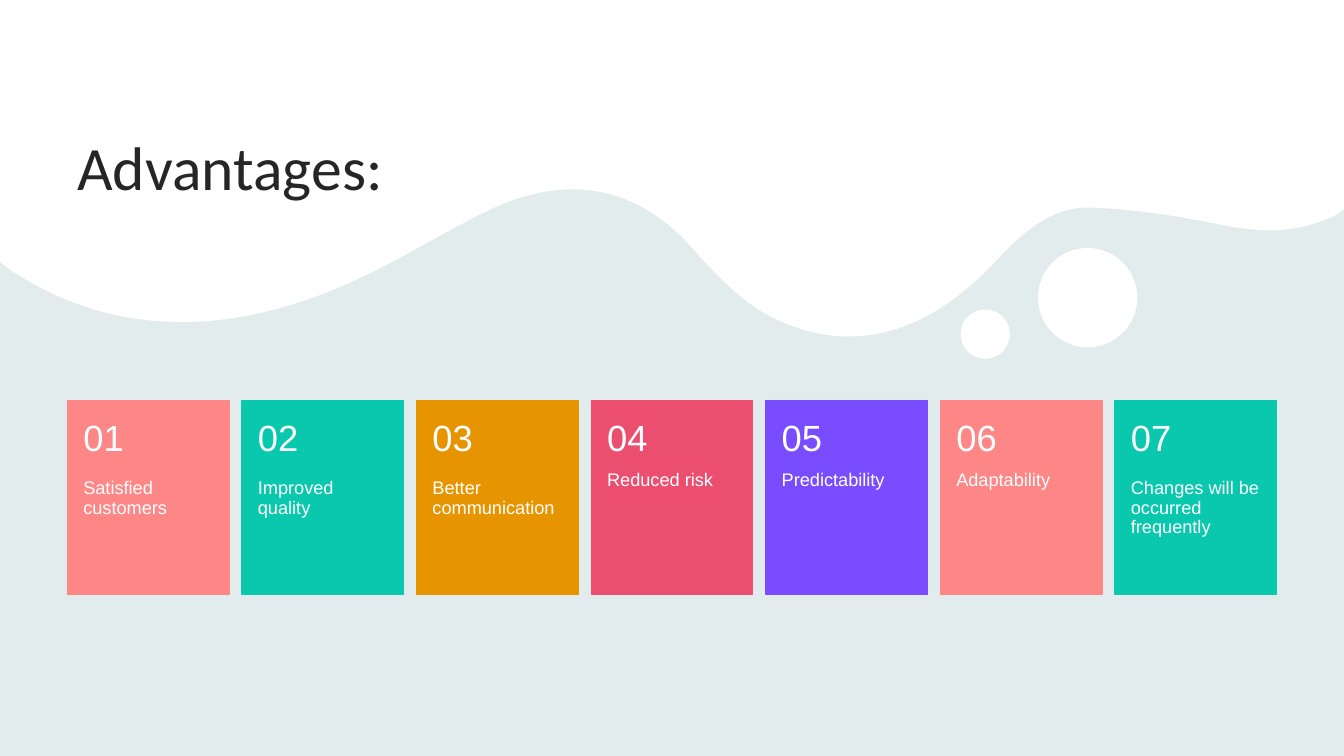
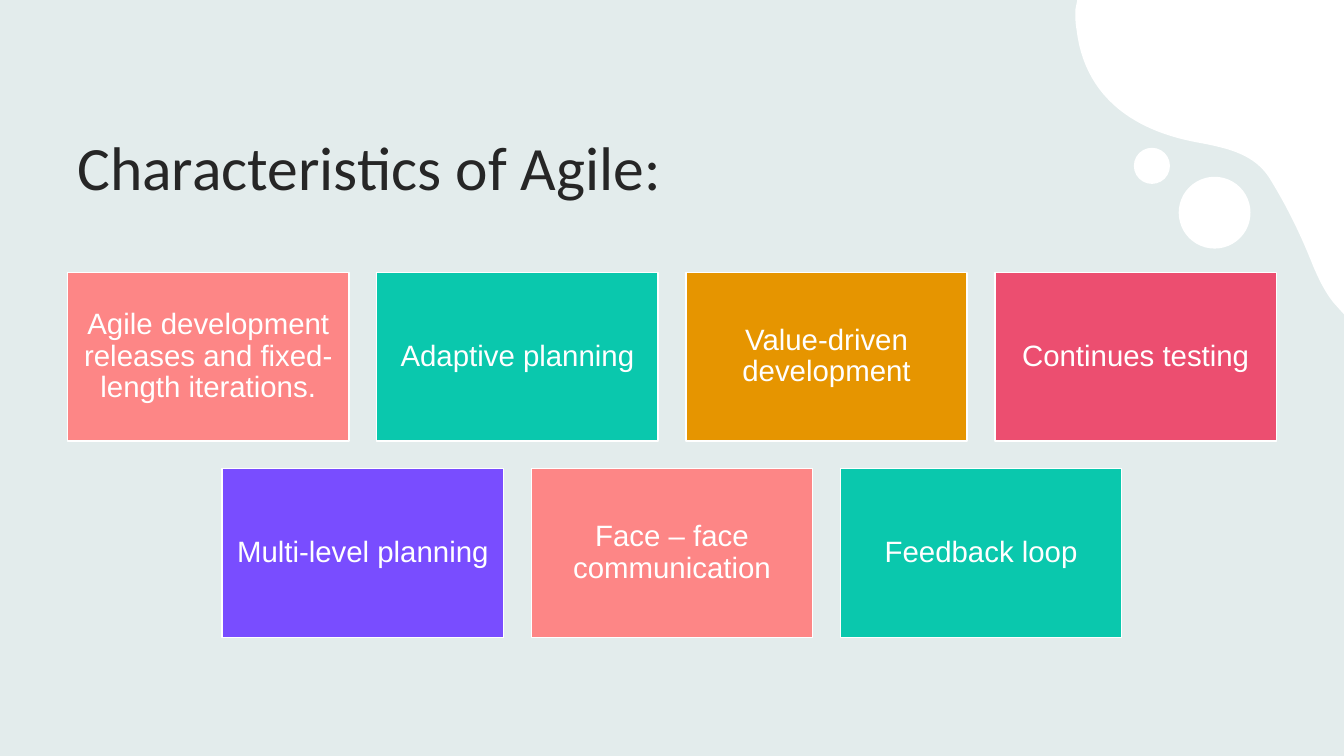
from dataclasses import dataclass
from itertools import cycle

from pptx import Presentation
from pptx import util as u
from pptx.dml.color import RGBColor
from pptx.enum import shapes, text
from pptx.util import Cm


@dataclass(frozen=True)
class Theme:
    width: float = 33.87
    height: float = 19.05
    background: str = "E3ECEC"
    white: str = "FFFFFF"
    ink: str = "262626"
    cards: tuple = ("FD8686", "0AC8AD", "E69500", "EC4E70", "794DFF")
    title_font: str = "Calibri"
    body_font: str = "Arial"
    title_size: int = 44
    number_size: int = 26
    card_size: int = 21
    label_size: int = 13


THEME = Theme()


def write(frame, content, *, size, font=THEME.body_font, color=THEME.white,
          align=text.PP_ALIGN.LEFT, anchor=text.MSO_ANCHOR.TOP,
          insets=(0.25, 0.13, 0.25, 0.13), spacing=0.9):
    """Fill a text frame; insets are left, top, right, bottom in cm."""
    frame.word_wrap = True
    frame.vertical_anchor = anchor
    (frame.margin_left, frame.margin_top,
     frame.margin_right, frame.margin_bottom) = map(Cm, insets)
    paragraph = frame.paragraphs[0]
    paragraph.alignment = align
    paragraph.line_spacing = spacing
    run = paragraph.add_run()
    run.text = content
    run.font.name = font
    run.font.size = u.Pt(size)
    run.font.color.rgb = RGBColor.from_string(color)


def curve_points(start, segments, steps=24):
    """Points along lines (one point) and cubic curves (three points)."""
    points, here = [], start
    for segment in segments:
        if len(segment) == 3:
            a, b, c = segment
            for step in range(1, steps + 1):
                t = step / steps
                s = 1 - t
                points.append(tuple(
                    s**3 * p + 3 * s * s * t * q + 3 * s * t * t * r + t**3 * e
                    for p, q, r, e in zip(here, a, b, c)))
        else:
            points.append(segment[0])
        here = segment[-1]
    return points


def centred_row(count, width, gap):
    """Left edges of equal cards centred across the slide."""
    left = (THEME.width - count * width - (count - 1) * gap) / 2
    return [left + i * (width + gap) for i in range(count)]


class Deck:
    def __init__(self, theme):
        self.theme = theme
        self.prs = Presentation()
        self.prs.slide_width = Cm(theme.width)
        self.prs.slide_height = Cm(theme.height)
        self.slide = None

    def new_slide(self):
        self.slide = self.prs.slides.add_slide(self.prs.slide_layouts[6])
        fill = self.slide.background.fill
        fill.solid()
        fill.fore_color.rgb = RGBColor.from_string(self.theme.background)

    def paint(self, shape, fill, line=None):
        shape.shadow.inherit = False
        shape.fill.solid()
        shape.fill.fore_color.rgb = RGBColor.from_string(fill)
        if line:
            shape.line.color.rgb = RGBColor.from_string(line)
            shape.line.width = u.Pt(1)
        else:
            shape.line.fill.background()

    def title(self, content):
        self.label(content, 1.7, 1.55, 30.48, 3.68, size=self.theme.title_size,
                   font=self.theme.title_font, color=self.theme.ink,
                   anchor=text.MSO_ANCHOR.BOTTOM, spacing=1.0)

    def label(self, content, left, top, width, height, **style):
        box = self.slide.shapes.add_textbox(*map(Cm, (left, top, width, height)))
        write(box.text_frame, content, **style)

    def card(self, left, top, width, height, fill, line):
        card = self.slide.shapes.add_shape(
            shapes.MSO_SHAPE.RECTANGLE, *map(Cm, (left, top, width, height)))
        self.paint(card, fill, line)
        return card

    def bubble(self, x, y, diameter):
        bubble = self.slide.shapes.add_shape(
            shapes.MSO_SHAPE.OVAL, Cm(x - diameter / 2), Cm(y - diameter / 2),
            Cm(diameter), Cm(diameter))
        self.paint(bubble, self.theme.white)

    def wave(self, start, segments):
        outline = self.slide.shapes.build_freeform(Cm(start[0]), Cm(start[1]))
        outline.add_line_segments(
            [(Cm(x), Cm(y)) for x, y in curve_points(start, segments)], close=True)
        self.paint(outline.convert_to_shape(), self.theme.white)


def advantages(deck):
    deck.new_slide()

    # White wave across the top, with two bubbles
    deck.wave((0, 0), [
        [(33.87, 0)],
        [(33.87, 5.28)],
        [(33.68, 5.41)],
        [(32.74, 5.89), (31.78, 5.87), (30.76, 5.66)],
        [(29.67, 5.44), (28.52, 5.26), (27.41, 5.23)],
        [(26.37, 5.23), (25.65, 5.99), (24.97, 6.71)],
        [(23.29, 8.46), (21.36, 8.97), (19.43, 7.98)],
        [(18.67, 7.59), (18.03, 6.91), (17.45, 6.25)],
        [(15.9, 4.5), (14, 4.44), (12.19, 5.36)],
        [(10.92, 5.99), (9.7, 6.78), (8.36, 7.32)],
        [(5.49, 8.48), (2.69, 8.43), (0.23, 6.78)],
        [(0, 6.6)],
    ])
    deck.bubble(24.83, 8.42, 1.24)
    deck.bubble(27.41, 7.5, 2.5)
    deck.title("Advantages:")

    # Numbered cards
    benefits = ["Satisfied customers", "Improved quality", "Better communication",
                "Reduced risk", "Predictability", "Adaptability",
                "Changes will be occurred frequently"]
    top, width, height, number_height = 10.1, 4.07, 4.88, 1.96
    lefts = centred_row(len(benefits), width, 0.33)
    colors = cycle(deck.theme.cards)
    for number, (benefit, left, color) in enumerate(zip(benefits, lefts, colors), 1):
        deck.card(left, top, width, height, color, color)
        deck.label(benefit, left, top + number_height, width, height - number_height,
                   size=deck.theme.label_size, insets=(0.4, 0, 0.4, 0.91))
        deck.label(f"{number:02d}", left, top, width, number_height,
                   size=deck.theme.number_size, anchor=text.MSO_ANCHOR.MIDDLE,
                   insets=(0.4, 0.46, 0.4, 0.46))


def characteristics(deck):
    deck.new_slide()

    # White corner, with two bubbles
    deck.wave((33.87, 0), [
        [(27.15, 0)],
        [(27.1, 0.25)],
        [(27.1, 0.41), (27.1, 0.58), (27.13, 0.74)],
        [(27.31, 2.31), (28.4, 3.25), (30.12, 3.58)],
        [(30.81, 3.71), (31.57, 3.84), (31.98, 4.47)],
        [(32.41, 5.16), (32.77, 5.89), (33.07, 6.65)],
        [(33.22, 7.01), (33.38, 7.34), (33.6, 7.62)],
        [(33.87, 7.92)],
    ])
    deck.bubble(30.61, 5.36, 1.81)
    deck.bubble(29.03, 4.18, 0.91)
    deck.title("Characteristics of Agile:")

    # Two centred rows of cards
    rows = [["Agile development releases and fixed-length iterations.",
             "Adaptive planning", "Value-driven development", "Continues testing"],
            ["Multi-level planning", "Face – face communication", "Feedback loop"]]
    width, height, gap = 7.09, 4.25, 0.7
    colors = cycle(deck.theme.cards)
    for row, traits in enumerate(rows):
        top = 6.86 + row * (height + gap)
        for trait, left in zip(traits, centred_row(len(traits), width, gap)):
            card = deck.card(left, top, width, height, next(colors), deck.theme.white)
            write(card.text_frame, trait, size=deck.theme.card_size,
                  align=text.PP_ALIGN.CENTER, anchor=text.MSO_ANCHOR.MIDDLE,
                  insets=(0.23,) * 4)


def main():
    deck = Deck(THEME)
    advantages(deck)
    characteristics(deck)
    deck.prs.save("out.pptx")


if __name__ == "__main__":
    main()
